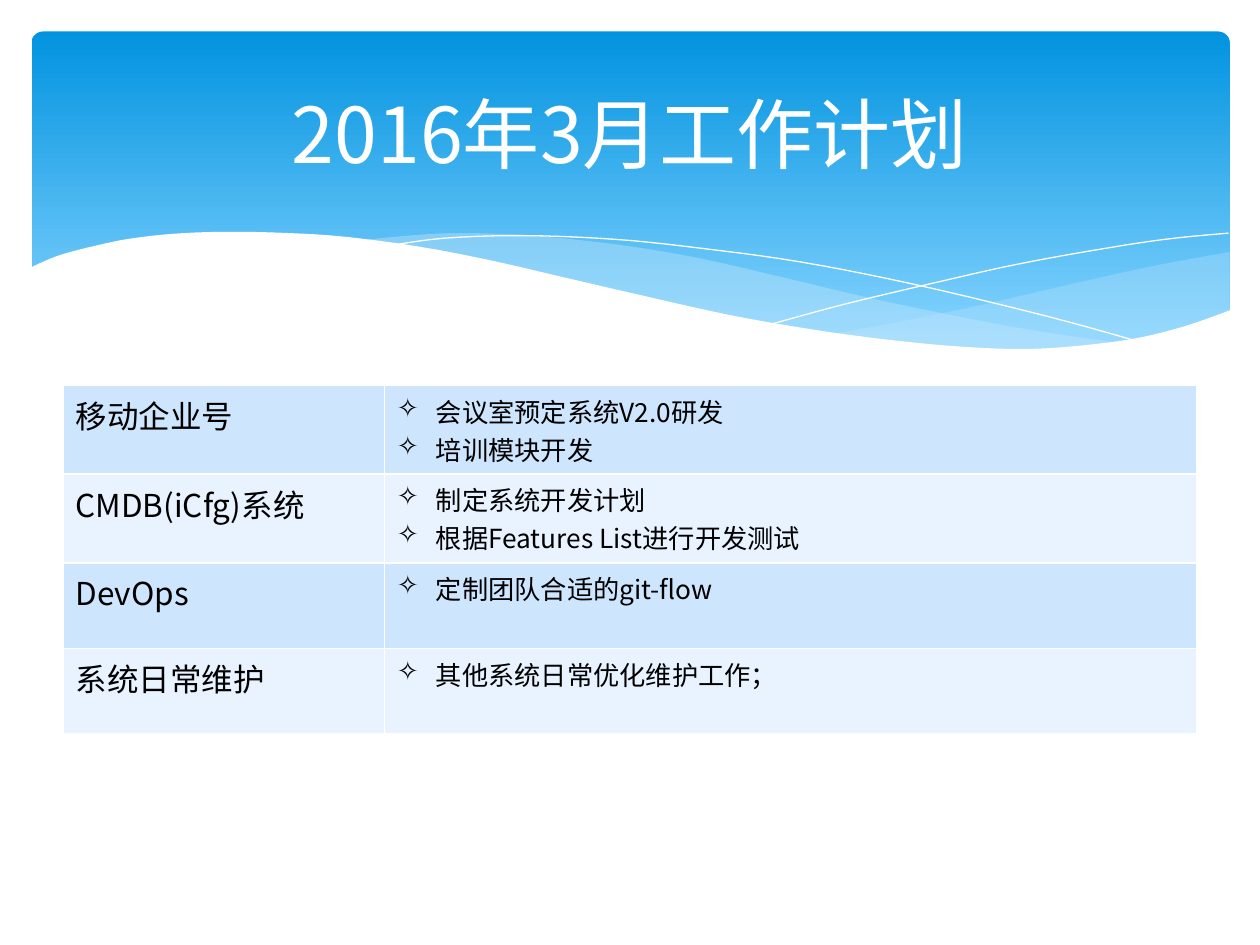
from dataclasses import dataclass

from lxml import etree
from pptx import Presentation
from pptx.dml.color import RGBColor
from pptx.enum.shapes import MSO_SHAPE
from pptx.enum.text import MSO_ANCHOR, PP_ALIGN
from pptx.oxml.ns import qn
from pptx.util import Inches, Pt


@dataclass(frozen=True)
class Theme:
    font: str = "Noto Sans CJK SC"
    white: str = "FFFFFF"
    text: str = "000000"
    banner_top: str = "0293E0"
    banner_bottom: str = "83D3FE"
    wave: str = "C6E7FC"
    bands: tuple = ("CEE5FE", "E8F3FF")
    title_size: int = 44
    topic_size: int = 18
    task_size: int = 15


THEME = Theme()

PLAN = [
    ("移动企业号", ["会议室预定系统V2.0研发", "培训模块开发"]),
    ("CMDB(iCfg)系统", ["制定系统开发计划", "根据Features List进行开发测试"]),
    ("DevOps", ["定制团队合适的git-flow"]),
    ("系统日常维护", ["其他系统日常优化维护工作；"]),
]

# Wave edges, as points in inches that a smooth curve passes through
RIGHT_WAVE_TOP = [(9.76, 2), (9.21, 2.1), (8.61, 2.23), (7.79, 2.42),
                  (7.06, 2.57), (6.61, 2.65)]
RIGHT_WAVE_BOTTOM = [(6.61, 2.65), (7.19, 2.72), (7.69, 2.77), (8.14, 2.78),
                     (8.63, 2.75), (9.13, 2.67), (9.49, 2.57), (9.76, 2.47)]
MIDDLE_WAVE_TOP = [(8.93, 2.73), (8.07, 2.6), (7.06, 2.4), (6.29, 2.22),
                   (5.55, 2.05), (4.89, 1.94), (4.2, 1.87), (3.61, 1.85),
                   (3.13, 1.88), (2.86, 1.91)]
MIDDLE_WAVE_BOTTOM = [(2.86, 1.91), (3.62, 2.03), (4.49, 2.22), (5.3, 2.4),
                      (6.01, 2.55), (6.65, 2.66), (7.22, 2.74), (7.73, 2.77),
                      (8.18, 2.78), (8.57, 2.77), (8.93, 2.73)]
FALLING_LINE = [(3.09, 1.95), (3.53, 1.89), (4.16, 1.87), (4.89, 1.9),
                (5.56, 1.97), (6.36, 2.08), (7.27, 2.26), (8.31, 2.51),
                (9.07, 2.72)]
RISING_LINE = [(6.13, 2.57), (6.72, 2.41), (7.48, 2.23), (8.06, 2.1),
               (8.66, 1.99), (9.24, 1.9), (9.75, 1.85)]
FRONT_WAVE = [(9.77, 2.46), (9.4, 2.59), (8.99, 2.69), (8.5, 2.75),
              (8.09, 2.77), (7.61, 2.75), (7.08, 2.7), (6.48, 2.62),
              (5.79, 2.5), (5.03, 2.33), (4.47, 2.2), (3.91, 2.07),
              (3.4, 1.97), (2.92, 1.9), (2.5, 1.86), (1.93, 1.84),
              (1.46, 1.85), (1.06, 1.89), (0.76, 1.95), (0.46, 2.03),
              (0.23, 2.13)]
FRONT_BASE = [(0.23, 3.29), (9.77, 3.29)]


def color(value):
    return RGBColor.from_string(value)


def smooth_curve(points, steps=5):
    """Sample a Catmull-Rom curve through the points."""
    padded = [points[0], *points, points[-1]]
    samples = [points[0]]
    for before, start, end, after in zip(padded, padded[1:], padded[2:], padded[3:]):
        for step in range(1, steps + 1):
            t = step / steps
            samples.append(tuple(
                0.5 * (2 * b + (c - a) * t + (2 * a - 5 * b + 4 * c - d) * t ** 2
                       + (3 * b - a - 3 * c + d) * t ** 3)
                for a, b, c, d in zip(before, start, end, after)))
    return samples


def add_outline(page, points, closed):
    corners = [(Inches(x), Inches(y)) for x, y in points]
    builder = page.shapes.build_freeform(*corners[0])
    builder.add_line_segments(corners[1:], close=closed)
    shape = builder.convert_to_shape()
    shape.shadow.inherit = False
    return shape


def add_wave(page, points, fill, opacity=100):
    wave = add_outline(page, points, True)
    wave.fill.solid()
    wave.fill.fore_color.rgb = color(fill)
    wave.line.fill.background()
    if opacity < 100:
        tint = wave.element.spPr.find(qn("a:solidFill"))[0]
        etree.SubElement(tint, qn("a:alpha"), val=str(opacity * 1000))


def add_wave_line(page, points):
    curve = add_outline(page, smooth_curve(points), False)
    curve.fill.background()
    curve.line.color.rgb = color(THEME.white)
    curve.line.width = Pt(0)


def add_banner(page):
    banner = page.shapes.add_shape(MSO_SHAPE.ROUNDED_RECTANGLE, Inches(0.25),
                                   Inches(0.25), Inches(9.51), Inches(2.7))
    banner.adjustments[0] = 0.034
    banner.shadow.inherit = False
    banner.line.fill.background()
    banner.fill.gradient()
    banner.fill.gradient_angle = 270
    stops = [(0, THEME.banner_top), (0.9, THEME.banner_bottom)]
    for stop, (position, value) in zip(banner.fill.gradient_stops, stops):
        stop.position = position
        stop.color.rgb = color(value)


def format_text(para, size, value):
    para.font.size = Pt(size)
    para.font.name = THEME.font
    para.font.color.rgb = color(value)
    defaults = para._p.pPr.find(qn("a:defRPr"))
    etree.SubElement(defaults, qn("a:ea"), typeface=THEME.font)


def add_bullet(para, indent=Inches(0.31)):
    properties = para._p.get_or_add_pPr()
    properties.set("marL", str(indent))
    properties.set("indent", str(-indent))
    bullet = etree.Element(qn("a:buChar"), char="✧")
    properties.insert(0, bullet)


def add_title(page, text):
    title = page.shapes.title
    title.left, title.top = Inches(0.5), Inches(0.37)
    title.width, title.height = Inches(9), Inches(1.37)
    frame = title.text_frame
    frame.text = text
    frame.vertical_anchor = MSO_ANCHOR.MIDDLE
    para = frame.paragraphs[0]
    para.alignment = PP_ALIGN.CENTER
    format_text(para, THEME.title_size, THEME.white)
    # Bring the title in front of the banner
    title.element.getparent().append(title.element)


def style_cell(cell, fill):
    cell.fill.solid()
    cell.fill.fore_color.rgb = color(fill)
    properties = cell._tc.get_or_add_tcPr()
    for index, side in enumerate(("lnL", "lnR", "lnT", "lnB")):
        border = etree.Element(qn(f"a:{side}"), w=str(Pt(1)))
        paint = etree.SubElement(border, qn("a:solidFill"))
        etree.SubElement(paint, qn("a:srgbClr"), val=THEME.white)
        properties.insert(index, border)


def fill_cell(cell, lines, size, bulleted, fill):
    cell.text = "\n".join(lines)
    for para in cell.text_frame.paragraphs:
        format_text(para, size, THEME.text)
        if bulleted:
            add_bullet(para)
    style_cell(cell, fill)


def add_plan_table(page):
    row_height = Inches(0.68)
    table = page.shapes.add_table(len(PLAN), 2, Inches(0.5), Inches(3.06),
                                  Inches(9), row_height * len(PLAN)).table
    table.first_row = table.horz_banding = False
    table.columns[0].width = Inches(2.55)
    table.columns[1].width = Inches(6.45)
    for index, (topic, tasks) in enumerate(PLAN):
        band = THEME.bands[index % 2]
        table.rows[index].height = row_height
        fill_cell(table.cell(index, 0), [topic], THEME.topic_size, False, band)
        fill_cell(table.cell(index, 1), tasks, THEME.task_size, True, band)


def main():
    deck = Presentation()
    deck.slide_width, deck.slide_height = Inches(10), Inches(7.5)
    page = deck.slides.add_slide(deck.slide_layouts[5])

    # Banner with its waves, from back to front
    add_banner(page)
    add_wave(page, smooth_curve(RIGHT_WAVE_TOP) + smooth_curve(RIGHT_WAVE_BOTTOM),
             THEME.wave, 29)
    add_wave(page, smooth_curve(MIDDLE_WAVE_TOP) + smooth_curve(MIDDLE_WAVE_BOTTOM),
             THEME.wave, 40)
    add_wave_line(page, FALLING_LINE)
    add_wave_line(page, RISING_LINE)
    add_wave(page, smooth_curve(FRONT_WAVE) + FRONT_BASE, THEME.white)

    # Title and work plan
    add_title(page, "2016年3月工作计划")
    add_plan_table(page)
    deck.save("out.pptx")


main()
